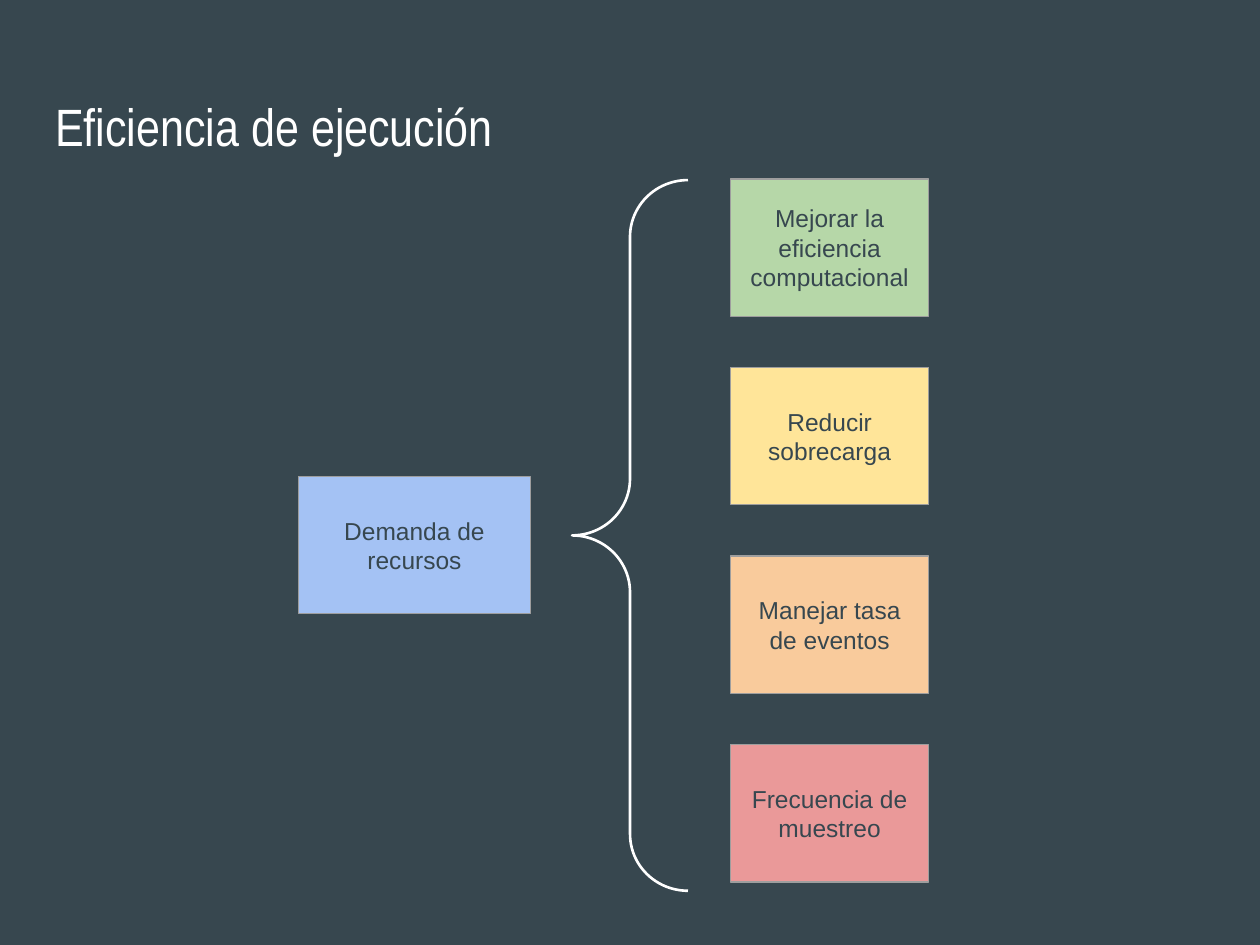
from pptx import Presentation
from pptx.dml.color import RGBColor
from pptx.enum.shapes import MSO_SHAPE
from pptx.enum.text import MSO_ANCHOR, PP_ALIGN
from pptx.util import Inches, Pt

SLIDE_WIDTH, SLIDE_HEIGHT = 10, 7.5
BACKGROUND, WHITE, BORDER = "37474F", "FFFFFF", "9E9E9E"
BOX_HEIGHT = 1.09
GOALS = [
    ("Mejorar la eficiencia computacional", "B6D7A8"),
    ("Reducir sobrecarga", "FFE599"),
    ("Manejar tasa de eventos", "F9CB9C"),
    ("Frecuencia de muestreo", "EA9999"),
]


def color(value):
    return RGBColor.from_string(value)


def inches(box):
    return [Inches(length) for length in box]


def write(shape, text, font, size, text_color, alignment, anchor):
    frame = shape.text_frame
    settings = {"word_wrap": True, "vertical_anchor": anchor}
    for side in ("left", "top", "right", "bottom"):
        settings[f"margin_{side}"] = Inches(0.1)
    for name, value in settings.items():
        setattr(frame, name, value)
    paragraph = frame.paragraphs[0]
    paragraph.alignment = alignment
    run = paragraph.add_run()
    run.text = text
    for name, value in {"name": font, "size": Pt(size)}.items():
        setattr(run.font, name, value)
    run.font.color.rgb = color(text_color)


def add_outlined_shape(slide, kind, box, line_color, line_width):
    shape = slide.shapes.add_shape(kind, *inches(box))
    shape.shadow.inherit = False
    shape.line.color.rgb = color(line_color)
    shape.line.width = Pt(line_width)
    return shape


def add_title(slide, box):
    shape = slide.shapes.add_textbox(*inches(box))
    write(shape, "Eficiencia de ejecución", "Arial Narrow", 30, WHITE,
          PP_ALIGN.LEFT, MSO_ANCHOR.TOP)


def add_label_box(slide, box, text, fill):
    shape = add_outlined_shape(slide, MSO_SHAPE.RECTANGLE, box, BORDER, 0.75)
    shape.fill.solid()
    shape.fill.fore_color.rgb = color(fill)
    write(shape, text, "Arial", 14, BACKGROUND, PP_ALIGN.CENTER, MSO_ANCHOR.MIDDLE)


def add_brace(slide, box):
    brace = add_outlined_shape(slide, MSO_SHAPE.LEFT_BRACE, box, WHITE, 1.5)
    brace.fill.background()
    brace.adjustments[0] = 0.489
    brace.adjustments[1] = 0.5


def add_goals(slide, box):
    """Stack the goal boxes with equal gaps that fill the given height."""
    left, top, width, height = box
    step = (height - BOX_HEIGHT) / (len(GOALS) - 1)
    for row, (text, fill) in enumerate(GOALS):
        add_label_box(slide, (left, top + row * step, width, BOX_HEIGHT), text, fill)


def main():
    presentation = Presentation()
    presentation.slide_width = Inches(SLIDE_WIDTH)
    presentation.slide_height = Inches(SLIDE_HEIGHT)
    slide = presentation.slides.add_slide(presentation.slide_layouts[6])
    slide.background.fill.solid()
    slide.background.fill.fore_color.rgb = color(BACKGROUND)

    margin = 0.34
    add_title(slide, (margin, 0.65, SLIDE_WIDTH - 2 * margin, 0.83))
    add_label_box(slide, (2.37, 3.78, 1.84, BOX_HEIGHT), "Demanda de recursos", "A4C2F4")
    add_brace(slide, (4.54, 1.43, 0.92, 5.64))
    add_goals(slide, (5.8, 1.42, 1.57, 5.58))
    presentation.save("out.pptx")


if __name__ == "__main__":
    main()
